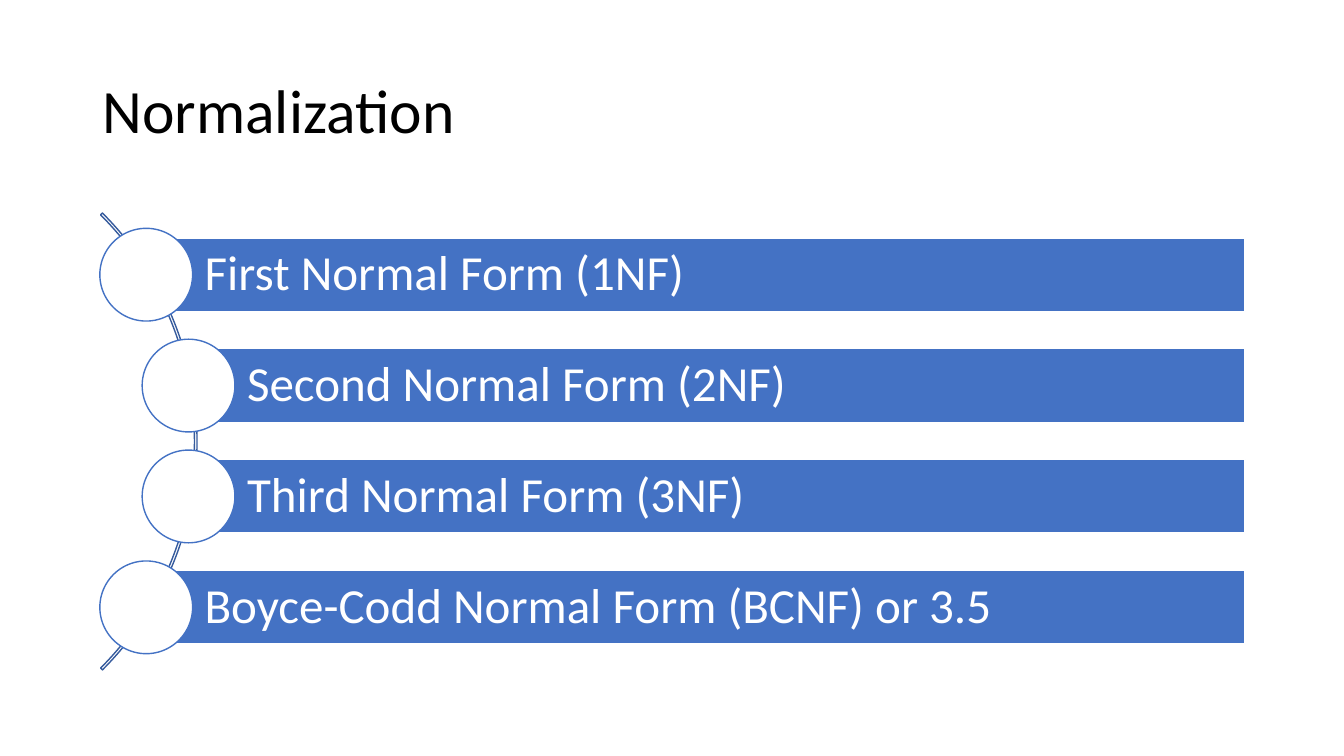
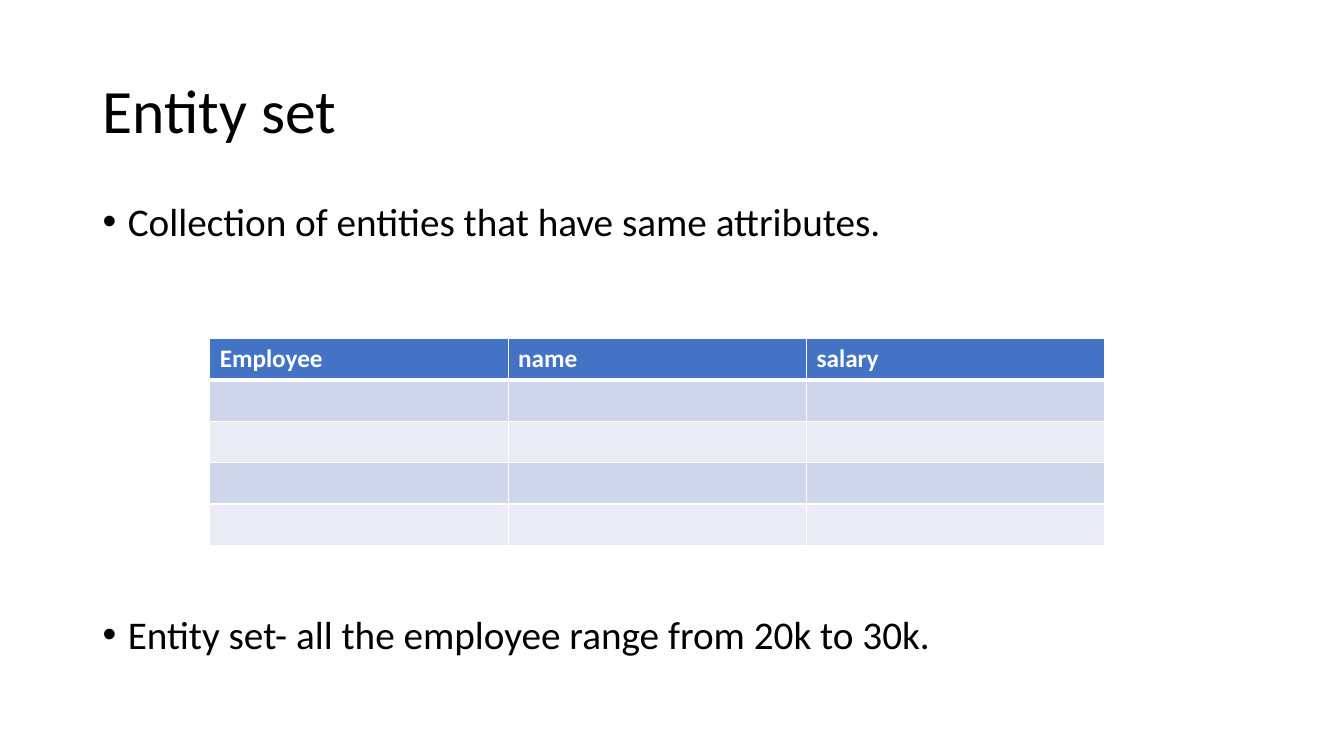
from lxml import etree
from pptx import Presentation
from pptx import util as u
from pptx.dml.color import RGBColor
from pptx.enum import shapes, text
from pptx.oxml import ns

WIDTH, HEIGHT = 13.33, 7.5
LEFT, CONTENT_WIDTH = 0.92, 11.5
FONT = "Calibri"
COLORS = {
    "ink": "000000",
    "paper": "FFFFFF",
    "blue": "4472C4",
    "arc": "365B9D",
    "band_dark": "CFD5EA",
    "band_light": "E9EBF5",
}


def color(name):
    """Return the palette colour with this name."""
    return RGBColor.from_string(COLORS[name])


def box(left, top, width, height):
    """Turn inches into a position and size."""
    return [u.Inches(length) for length in (left, top, width, height)]


def style_text(paragraph, size, ink, spacing=None, bold=False):
    """Format every run of a paragraph."""
    paragraph.line_spacing = spacing
    for run in paragraph.runs:
        run.font.name = FONT
        run.font.size = u.Pt(size)
        run.font.bold = bold
        run.font.color.rgb = color(ink)


def add_title(slide, title):
    """Add the shared slide title."""
    frame = slide.shapes.add_textbox(*box(LEFT, 0.4, CONTENT_WIDTH, 1.45)).text_frame
    frame.word_wrap = True
    frame.vertical_anchor = text.MSO_ANCHOR.MIDDLE
    frame.text = title
    style_text(frame.paragraphs[0], 44, "ink", 0.9)


def add_figure(slide, preset, place, fill, line):
    """Add a preset shape with a thin outline and an optional fill."""
    figure = slide.shapes.add_shape(preset, *box(*place))
    figure.shadow.inherit = False
    if fill:
        figure.fill.solid()
        figure.fill.fore_color.rgb = color(fill)
    else:
        figure.fill.background()
    figure.line.color.rgb = color(line)
    figure.line.width = u.Pt(1)
    return figure


def add_arc(slide, center_x, center_y, diameter):
    """Add the thin arc that runs behind the steps."""
    place = (center_x - diameter / 2, center_y - diameter / 2, diameter, diameter)
    arc = add_figure(slide, shapes.MSO_SHAPE.BLOCK_ARC, place, None, "arc")
    for index, value in enumerate((189, 27, 0.004)):
        arc.adjustments[index] = value


def add_step(slide, label, left, top):
    """Add a labelled bar with a circle centred on its left end."""
    right, height, diameter = 12.35, 0.73, 0.92
    bar = add_figure(slide, shapes.MSO_SHAPE.RECTANGLE,
                     (left, top, right - left, height), "blue", "paper")
    frame = bar.text_frame
    frame.word_wrap = True
    frame.vertical_anchor = text.MSO_ANCHOR.MIDDLE
    frame.margin_left = u.Inches(0.58)
    frame.margin_top = frame.margin_right = frame.margin_bottom = u.Inches(0.1)
    frame.text = label
    frame.paragraphs[0].alignment = text.PP_ALIGN.LEFT
    style_text(frame.paragraphs[0], 35, "paper", 0.9)
    place = (left - diameter / 2, top + (height - diameter) / 2, diameter, diameter)
    add_figure(slide, shapes.MSO_SHAPE.OVAL, place, "paper", "blue")


def add_bullets(slide, points, gap):
    """Add bullet points with a gap in points between them."""
    frame = slide.shapes.add_textbox(*box(LEFT, 2, CONTENT_WIDTH, 4.76)).text_frame
    frame.word_wrap = True
    frame.text = "\n".join(points)
    for index, paragraph in enumerate(frame.paragraphs):
        properties = paragraph._p.get_or_add_pPr()
        properties.set("marL", str(u.Inches(0.25)))
        properties.set("indent", str(-u.Inches(0.25)))
        etree.SubElement(properties, ns.qn("a:buFont"), typeface="Arial")
        etree.SubElement(properties, ns.qn("a:buChar"), char="•")
        if index:
            paragraph.space_before = u.Pt(gap)
        style_text(paragraph, 28, "ink", 0.8)


def set_borders(cell, top, bottom):
    """Give a cell white borders, 1 point wide at the sides."""
    properties = cell._tc.get_or_add_tcPr()
    for index, (side, width) in enumerate(
            (("lnL", 1), ("lnR", 1), ("lnT", top), ("lnB", bottom))):
        line = etree.Element(ns.qn(f"a:{side}"), w=str(u.Pt(width)))
        fill = etree.SubElement(line, ns.qn("a:solidFill"))
        etree.SubElement(fill, ns.qn("a:srgbClr"), val=COLORS["paper"])
        properties.insert(index, line)


def add_banded_table(slide, headings, blank_rows, left, top, column, row):
    """Add a table with a header and empty banded rows."""
    rows, columns = blank_rows + 1, len(headings)
    table = slide.shapes.add_table(
        rows, columns, *box(left, top, column * columns, row * rows)).table
    for r in range(rows):
        fill = ("band_dark" if r % 2 else "band_light") if r else "blue"
        for c, heading in enumerate(headings):
            cell = table.cell(r, c)
            cell.fill.solid()
            cell.fill.fore_color.rgb = color(fill)
            set_borders(cell, 3 if r == 1 else 1, 3 if r == 0 else 1)
            if r == 0:
                cell.text_frame.text = heading
                style_text(cell.text_frame.paragraphs[0], 18, "paper", bold=True)


def build_normalization(slide):
    """Build the slide listing the normal forms."""
    add_title(slide, "Normalization")
    add_arc(slide, -1.25, 4.38, 6.41)
    steps = (
        ("First Normal Form (1NF)", 0),
        ("Second Normal Form (2NF)", 1),
        ("Third Normal Form (3NF)", 1),
        ("Boyce-Codd Normal Form (BCNF) or 3.5", 0),
    )
    for index, (label, indent) in enumerate(steps):
        add_step(slide, label, 1.45 + 0.42 * indent, 2.36 + 1.1 * index)


def build_entity_set(slide):
    """Build the slide explaining entity sets."""
    add_title(slide, "Entity set")
    add_bullets(slide, ("Collection of entities that have same attributes.",
                        "Entity set- all the employee range from 20k to 30k."), 268)
    add_banded_table(slide, ("Employee", "name", "salary"), 4, 2.08, 3.36, 2.96, 0.41)


def main():
    """Build and save the presentation."""
    deck = Presentation()
    deck.slide_width, deck.slide_height = u.Inches(WIDTH), u.Inches(HEIGHT)
    for build in (build_normalization, build_entity_set):
        build(deck.slides.add_slide(deck.slide_layouts[6]))
    deck.save("out.pptx")


if __name__ == "__main__":
    main()
